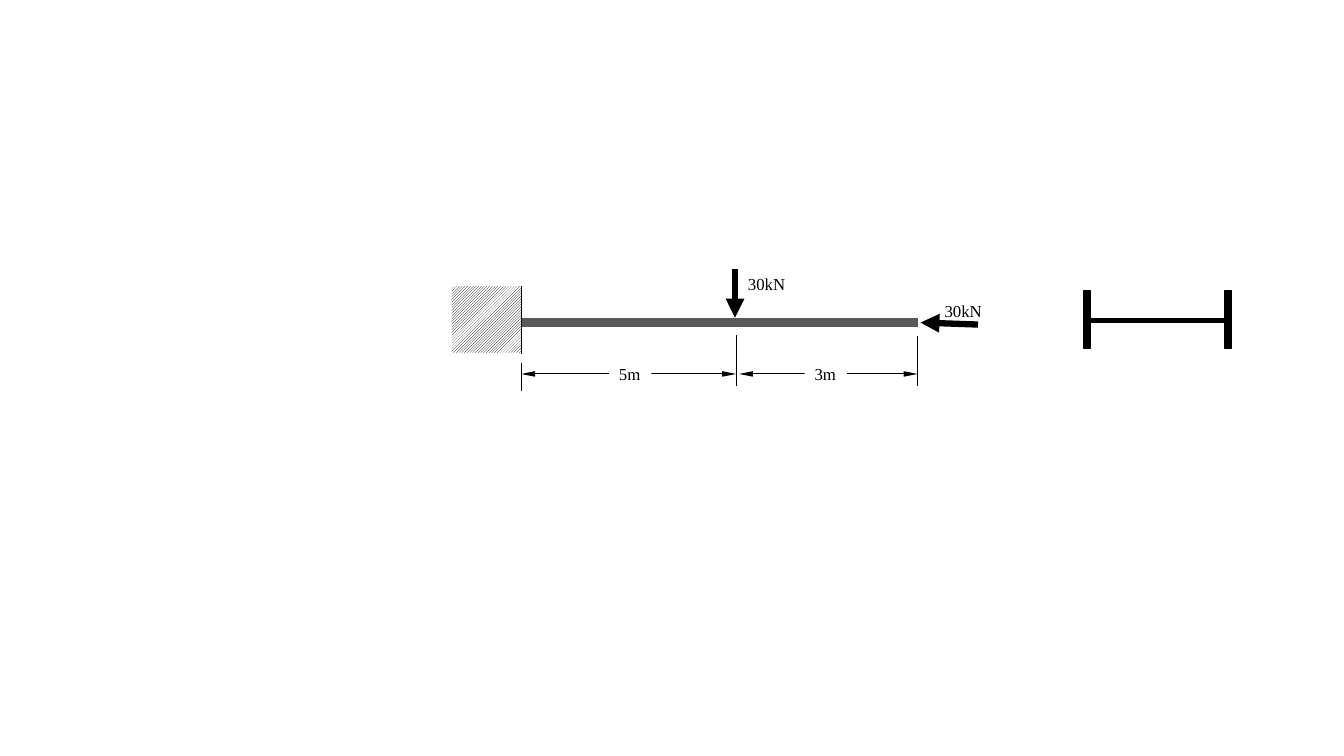
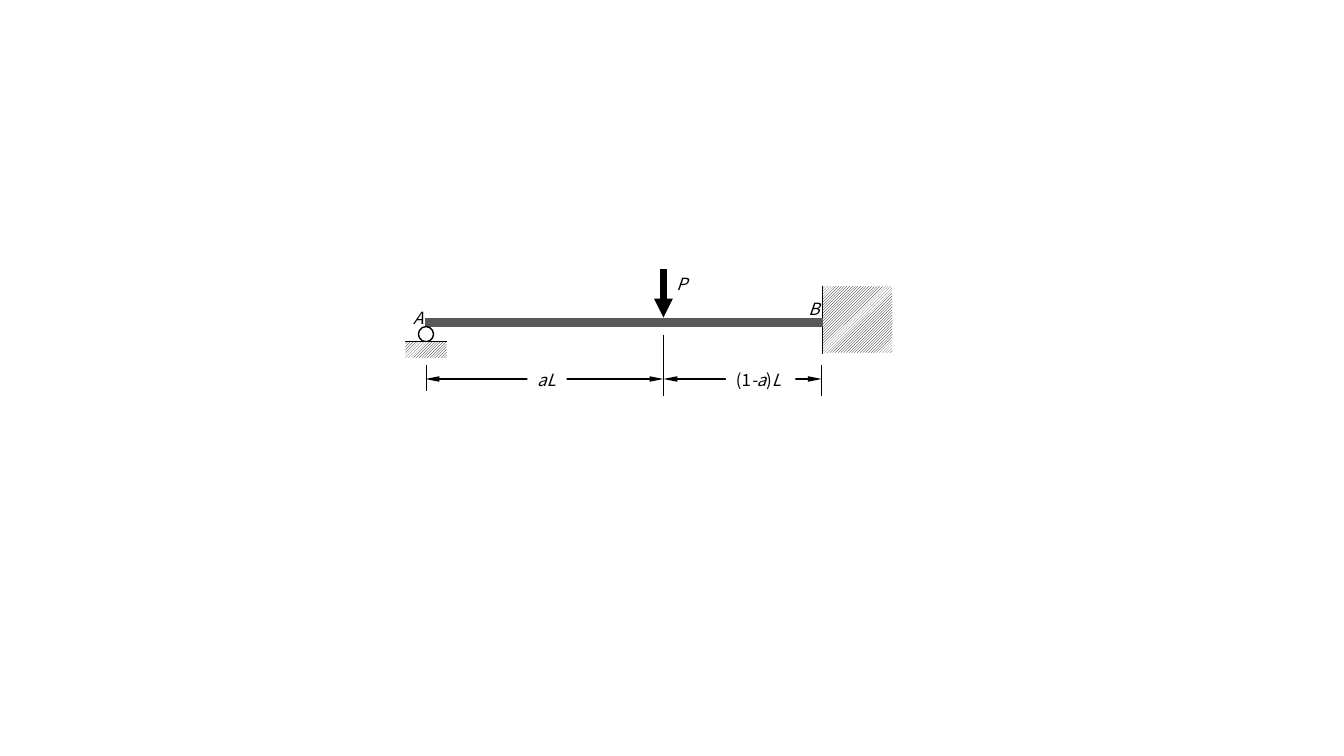
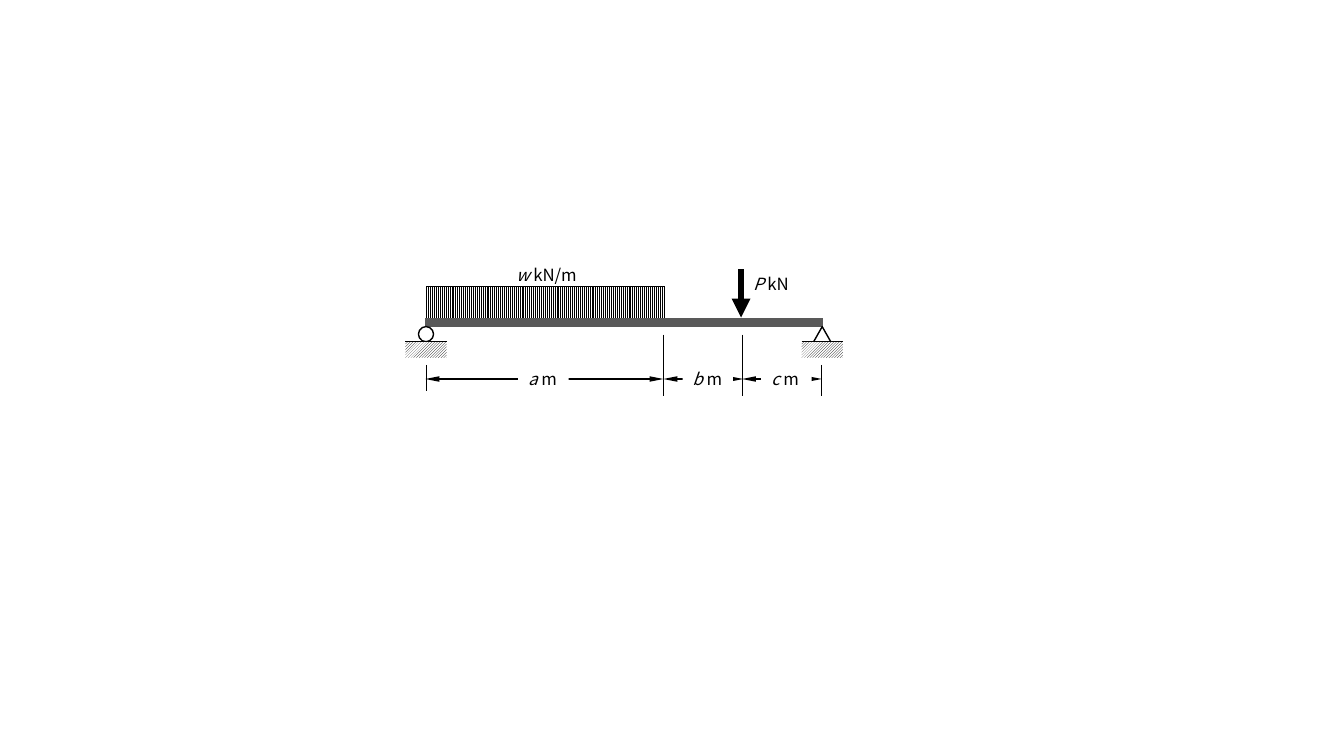
from dataclasses import dataclass

from lxml.etree import SubElement
from pptx import Presentation
from pptx.dml.color import RGBColor
from pptx.enum.dml import MSO_PATTERN
from pptx.enum.shapes import MSO_CONNECTOR, MSO_SHAPE
from pptx.enum.text import MSO_AUTO_SIZE
from pptx.oxml.ns import qn
from pptx.util import Inches, Pt

BLACK = RGBColor(0x00, 0x00, 0x00)
WHITE = RGBColor(0xFF, 0xFF, 0xFF)
BEAM_GREY = RGBColor(0x59, 0x59, 0x59)
SERIF = "Times New Roman"
SANS = "Noto Sans CJK KR"

BEAM_Y = 3.2
WALL_W, WALL_TOP, WALL_H = 0.69, 2.84, 0.66
LABEL_H = 0.3
LOAD_TOP, LOAD_TIP = 2.67, 3.15
GROUND_Y, GROUND_W, GROUND_H = 3.39, 0.41, 0.16
THIN, BEAM_PT, LOAD_PT, OUTLINE = 0.75, 6, 4.5, 1
SLIM_HEAD, LOAD_HEAD = ("sm", "lg"), ("med", "med")


@dataclass
class Label:
    """Text between asterisks is italic."""
    text: str
    x: float
    y: float
    w: float
    font: str = SANS
    filled: bool = False
    wrap: bool = False


@dataclass
class Span:
    """Dimension line with an arrowhead at both ends."""
    x1: float
    x2: float
    y: float
    label: Label


@dataclass
class Tick:
    x: float
    top: float
    bottom: float


# Basic parts

def add_line(shapes, x1: float, y1: float, x2: float, y2: float, width: float = THIN,
             color: RGBColor = BLACK, ends: tuple = (), head: tuple = SLIM_HEAD) -> None:
    cxn = shapes.add_connector(MSO_CONNECTOR.STRAIGHT,
                               *(Inches(v) for v in (x1, y1, x2, y2)))
    cxn.line.width = Pt(width)
    cxn.line.color.rgb = color
    sp_pr = cxn.element.spPr
    ln = sp_pr.find(qn("a:ln"))
    for end in ends:
        SubElement(ln, qn(f"a:{end}"), type="triangle", w=head[0], len=head[1])
    SubElement(sp_pr, qn("a:effectLst"))


def add_box(shapes, kind: MSO_SHAPE, x: float, y: float, w: float, h: float,
            fill: RGBColor | None = None, pattern: MSO_PATTERN | None = None,
            outline: float = 0) -> None:
    sp = shapes.add_shape(kind, *(Inches(v) for v in (x, y, w, h)))
    sp.shadow.inherit = False
    if pattern is not None:
        sp.fill.patterned()
        sp.fill.pattern = pattern
        sp.fill.fore_color.rgb = BLACK
        sp.fill.back_color.rgb = WHITE
    elif fill is not None:
        sp.fill.solid()
        sp.fill.fore_color.rgb = fill
    else:
        sp.fill.background()
    if outline:
        sp.line.width = Pt(outline)
        sp.line.color.rgb = BLACK
    else:
        sp.line.fill.background()


def add_label(shapes, label: Label) -> None:
    sp = shapes.add_textbox(*(Inches(v) for v in (label.x, label.y, label.w, LABEL_H)))
    if label.filled:
        sp.fill.solid()
        sp.fill.fore_color.rgb = WHITE
    tf = sp.text_frame
    tf.word_wrap = label.wrap
    tf.auto_size = MSO_AUTO_SIZE.SHAPE_TO_FIT_TEXT
    p = tf.paragraphs[0]
    for i, part in enumerate(label.text.split("*")):
        if part:
            r = p.add_run()
            r.text = part
            r.font.name = label.font
            r.font.size = Pt(12)
            r.font.italic = i % 2 == 1
            r.font.color.rgb = BLACK


# Structural parts

def add_beam(shapes, x1: float, x2: float) -> None:
    add_line(shapes, x1, BEAM_Y, x2, BEAM_Y, BEAM_PT, BEAM_GREY)


def add_wall(shapes, face_x: float, left_x: float) -> None:
    wall = shapes.add_group_shape().shapes
    add_box(wall, MSO_SHAPE.RECTANGLE, left_x, WALL_TOP, WALL_W, WALL_H,
            pattern=MSO_PATTERN.LIGHT_UPWARD_DIAGONAL)
    add_line(wall, face_x, WALL_TOP, face_x, 3.51)


def add_ground(shapes, left: float) -> None:
    ground = shapes.add_group_shape().shapes
    add_box(ground, MSO_SHAPE.RECTANGLE, left, GROUND_Y, GROUND_W, GROUND_H,
            pattern=MSO_PATTERN.LIGHT_UPWARD_DIAGONAL)
    add_line(ground, left, GROUND_Y, left + GROUND_W, GROUND_Y)


def add_roller(shapes) -> None:
    add_box(shapes, MSO_SHAPE.OVAL, 4.15, 3.24, 0.15, 0.15, WHITE, outline=OUTLINE)
    add_ground(shapes, 4.02)


def add_load(shapes, tip: tuple, tail: tuple, label: Label) -> None:
    add_label(shapes, label)
    add_line(shapes, *tip, *tail, LOAD_PT, ends=("headEnd",), head=LOAD_HEAD)


def add_point_load(shapes, x: float, label: Label) -> None:
    add_load(shapes, (x, LOAD_TIP), (x, LOAD_TOP), label)


def add_dimensions(shapes, spans: list[Span], ticks: list[Tick]) -> None:
    for s in spans:
        add_line(shapes, s.x1, s.y, s.x2, s.y, ends=("headEnd", "tailEnd"))
    for t in ticks:
        add_line(shapes, t.x, t.top, t.x, t.bottom)
    for s in spans:
        add_label(shapes, s.label)


# Slides

def build_cantilever(shapes) -> None:
    add_beam(shapes, 5.17, 9.1)
    add_wall(shapes, 5.17, 5.17 - WALL_W)
    add_dimensions(
        shapes,
        [Span(5.17, 7.3, 3.71, Label("5m", 6.04, 3.56, 0.42, SERIF, True)),
         Span(7.33, 9.1, 3.71, Label("3m", 7.98, 3.56, 0.42, SERIF, True))],
        [Tick(5.17, 3.6, 3.88), Tick(7.3, 3.32, 3.83), Tick(9.1, 3.33, 3.83)])
    add_point_load(shapes, 7.29, Label("30kN", 7.32, 2.67, 0.58, SERIF))
    add_load(shapes, (9.13, 3.2), (9.7, 3.22), Label("30kN", 9.27, 2.93, 0.58, SERIF))
    # Cross-section lying on its side
    section = shapes.add_group_shape().shapes
    add_box(section, MSO_SHAPE.RECTANGLE, 10.75, 3.16, 1.46, 0.04, BLACK, outline=OUTLINE)
    for x in (10.75, 12.15):
        add_box(section, MSO_SHAPE.RECTANGLE, x, 2.88, 0.06, 0.58, BLACK, outline=OUTLINE)


def build_propped_beam(shapes) -> None:
    add_wall(shapes, 8.16, 8.16)
    add_beam(shapes, 4.22, 8.16)
    add_roller(shapes)
    add_dimensions(
        shapes,
        [Span(4.22, 6.58, 3.76, Label("*aL*", 5.23, 3.62, 0.39, filled=True)),
         Span(6.58, 8.15, 3.76, Label("(1*-a*)*L*", 7.2, 3.62, 0.69, filled=True))],
        [Tick(4.23, 3.62, 3.88), Tick(6.58, 3.32, 3.93), Tick(8.15, 3.62, 3.93)])
    add_point_load(shapes, 6.58, Label("*P*", 6.61, 2.67, 0.31))
    add_label(shapes, Label("*A*", 4, 3, 0.31, wrap=True))
    add_label(shapes, Label("*B*", 7.92, 2.91, 0.31, wrap=True))


def build_simple_beam(shapes) -> None:
    # Distributed load
    add_box(shapes, MSO_SHAPE.RECTANGLE, 4.23, 2.84, 2.36, 0.33,
            pattern=MSO_PATTERN.LIGHT_VERTICAL, outline=THIN)
    add_label(shapes, Label("*w *kN/m", 5.02, 2.58, 0.84))
    add_beam(shapes, 4.22, 8.16)
    add_roller(shapes)
    # Pinned support
    add_box(shapes, MSO_SHAPE.ISOSCELES_TRIANGLE, 8.07, 3.24, 0.17, 0.15, outline=OUTLINE)
    add_ground(shapes, 7.95)
    add_dimensions(
        shapes,
        [Span(4.22, 6.58, 3.76, Label("*a* m", 5.14, 3.61, 0.5, filled=True)),
         Span(6.58, 7.37, 3.76, Label("*b* m", 6.77, 3.61, 0.5, filled=True)),
         Span(7.36, 8.15, 3.76, Label("*c* m", 7.55, 3.61, 0.5, filled=True))],
        [Tick(4.23, 3.62, 3.88), Tick(6.58, 3.32, 3.93),
         Tick(7.36, 3.32, 3.93), Tick(8.15, 3.62, 3.93)])
    add_point_load(shapes, 7.35, Label("*P *kN", 7.37, 2.67, 0.59))


def main() -> None:
    prs = Presentation()
    prs.slide_width, prs.slide_height = Inches(13.33), Inches(7.5)
    blank = prs.slide_layouts[6]
    for build in (build_cantilever, build_propped_beam, build_simple_beam):
        build(prs.slides.add_slide(blank).shapes)
    prs.save("out.pptx")


if __name__ == "__main__":
    main()
